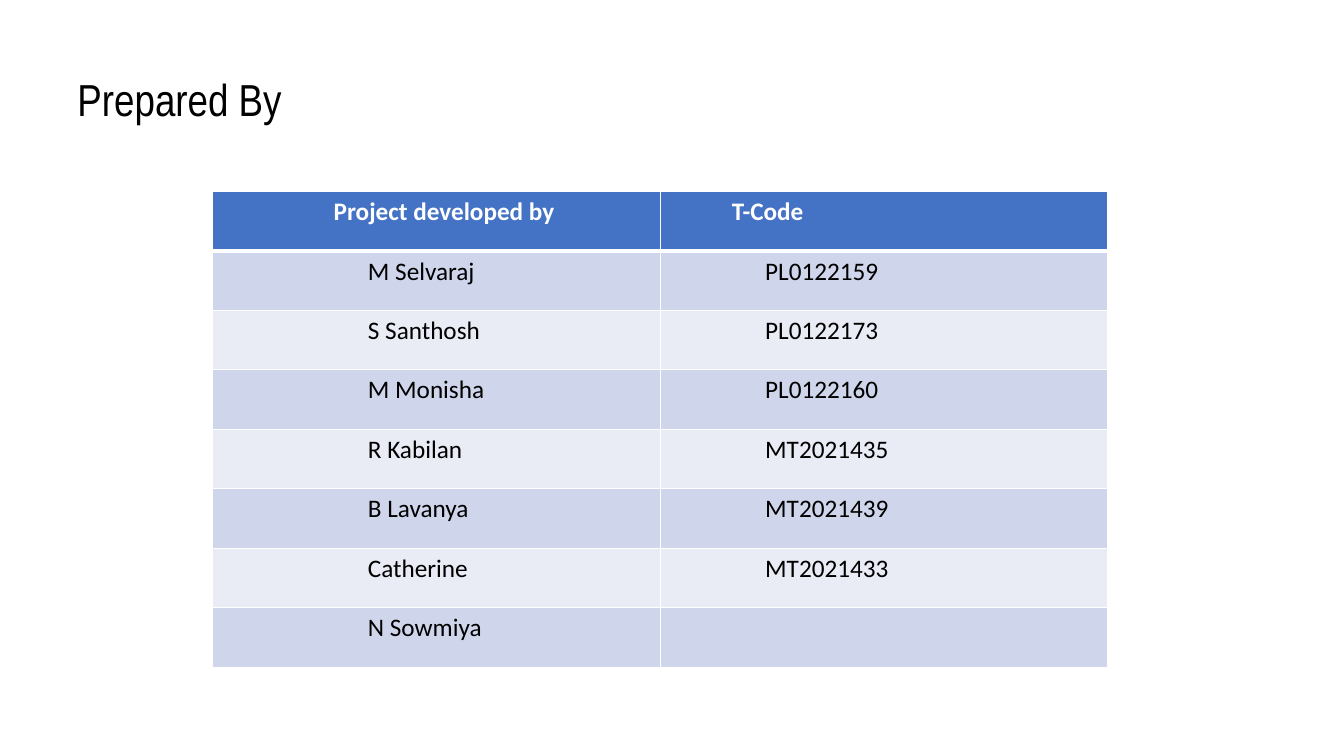
from lxml.etree import SubElement
from pptx import Presentation
from pptx.dml.color import RGBColor
from pptx.enum.text import MSO_ANCHOR
from pptx.oxml.ns import qn
from pptx.util import Inches, Pt

BLACK = RGBColor(0x00, 0x00, 0x00)
WHITE = RGBColor(0xFF, 0xFF, 0xFF)
HEADER_BLUE = RGBColor(0x44, 0x72, 0xC4)
BANDS = [RGBColor(0xE9, 0xEB, 0xF5), RGBColor(0xCF, 0xD5, 0xEA)]

ROWS = [
    ("Project developed by", "T-Code"),
    ("M Selvaraj", "PL0122159"),
    ("S Santhosh", "PL0122173"),
    ("M Monisha", "PL0122160"),
    ("R Kabilan", "MT2021435"),
    ("B Lavanya", "MT2021439"),
    ("Catherine", "MT2021433"),
    ("N Sowmiya", ""),
]
HEADER_INDENTS = (1.2, 0.71)
BODY_INDENTS = (1.54, 1.04)
COLUMN_WIDTH = 4.44
ROW_HEIGHT = 0.59


def add_border(cell, side, points):
    line = SubElement(cell._tc.get_or_add_tcPr(), qn("a:" + side), w=str(Pt(points)))
    fill = SubElement(line, qn("a:solidFill"))
    SubElement(fill, qn("a:srgbClr"), val=str(WHITE))


def style_text(para, font_name, size, color, bold=False):
    for span in para.runs:
        span.font.name = font_name
        span.font.size = Pt(size)
        span.font.color.rgb = color
        span.font.bold = bold


deck = Presentation()
deck.slide_width = Inches(13.33)
deck.slide_height = Inches(7.5)
page = deck.slides.add_slide(deck.slide_layouts[6])

title = page.shapes.add_textbox(Inches(0.67), Inches(0.68), Inches(11.39), Inches(0.6))
title.text_frame.word_wrap = True
title.text_frame.vertical_anchor = MSO_ANCHOR.MIDDLE
title.text_frame.text = "Prepared By"
style_text(title.text_frame.paragraphs[0], "Arial Narrow", 32, BLACK)

table = page.shapes.add_table(
    len(ROWS), 2, Inches(2.11), Inches(1.9),
    Inches(2 * COLUMN_WIDTH), Inches(len(ROWS) * ROW_HEIGHT),
).table

for row, texts in enumerate(ROWS):
    is_header = row == 0
    indents = HEADER_INDENTS if is_header else BODY_INDENTS
    for column, text in enumerate(texts):
        cell = table.cell(row, column)
        add_border(cell, "lnL", 1)
        add_border(cell, "lnR", 1)
        add_border(cell, "lnT", 3 if row == 1 else 1)
        add_border(cell, "lnB", 3 if is_header else 1)
        cell.fill.solid()
        cell.fill.fore_color.rgb = HEADER_BLUE if is_header else BANDS[row % 2]
        cell.margin_left = Inches(indents[column])
        if text:
            cell.text_frame.text = text
            style_text(cell.text_frame.paragraphs[0], "Calibri", 18,
                       WHITE if is_header else BLACK, is_header)

deck.save("out.pptx")
